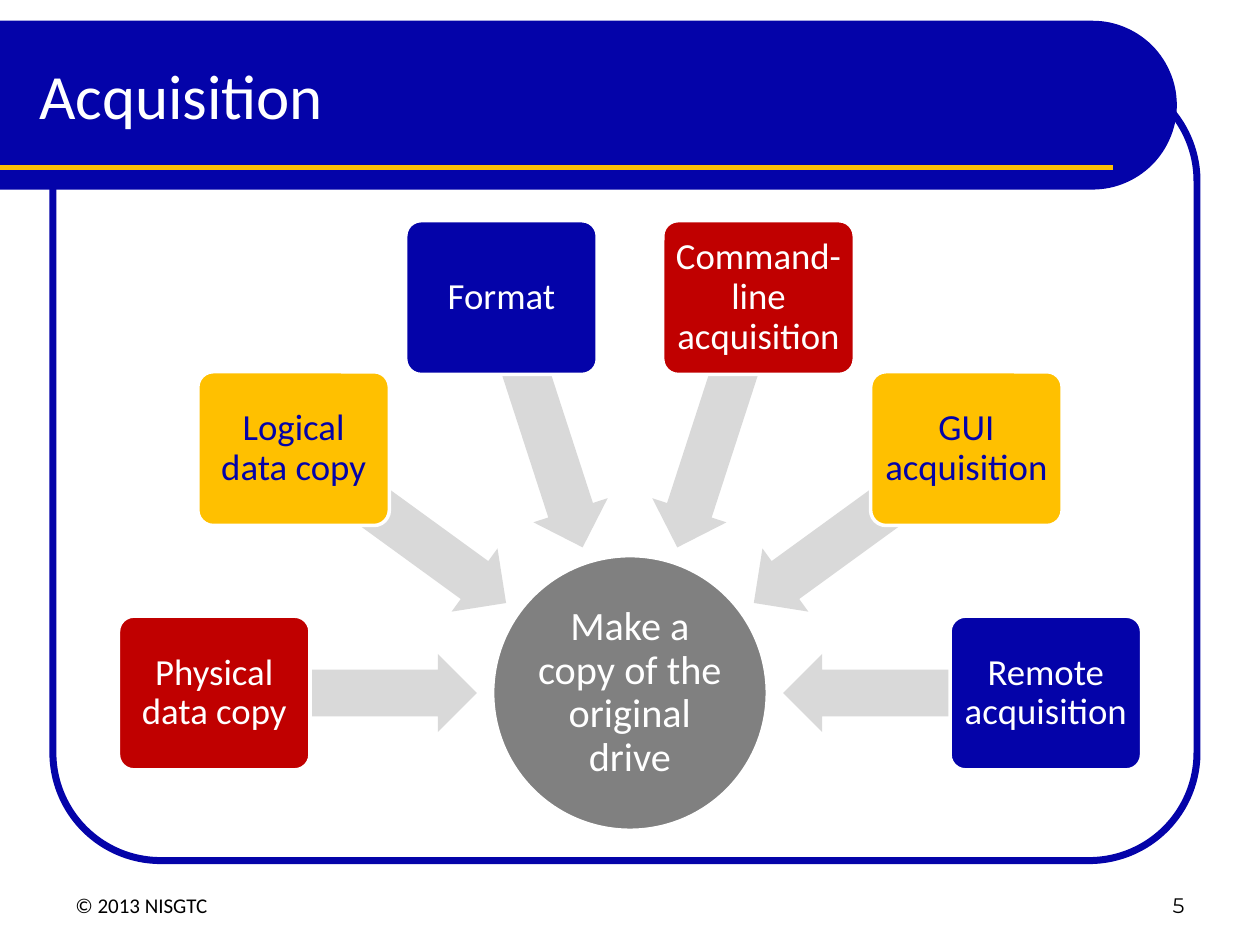
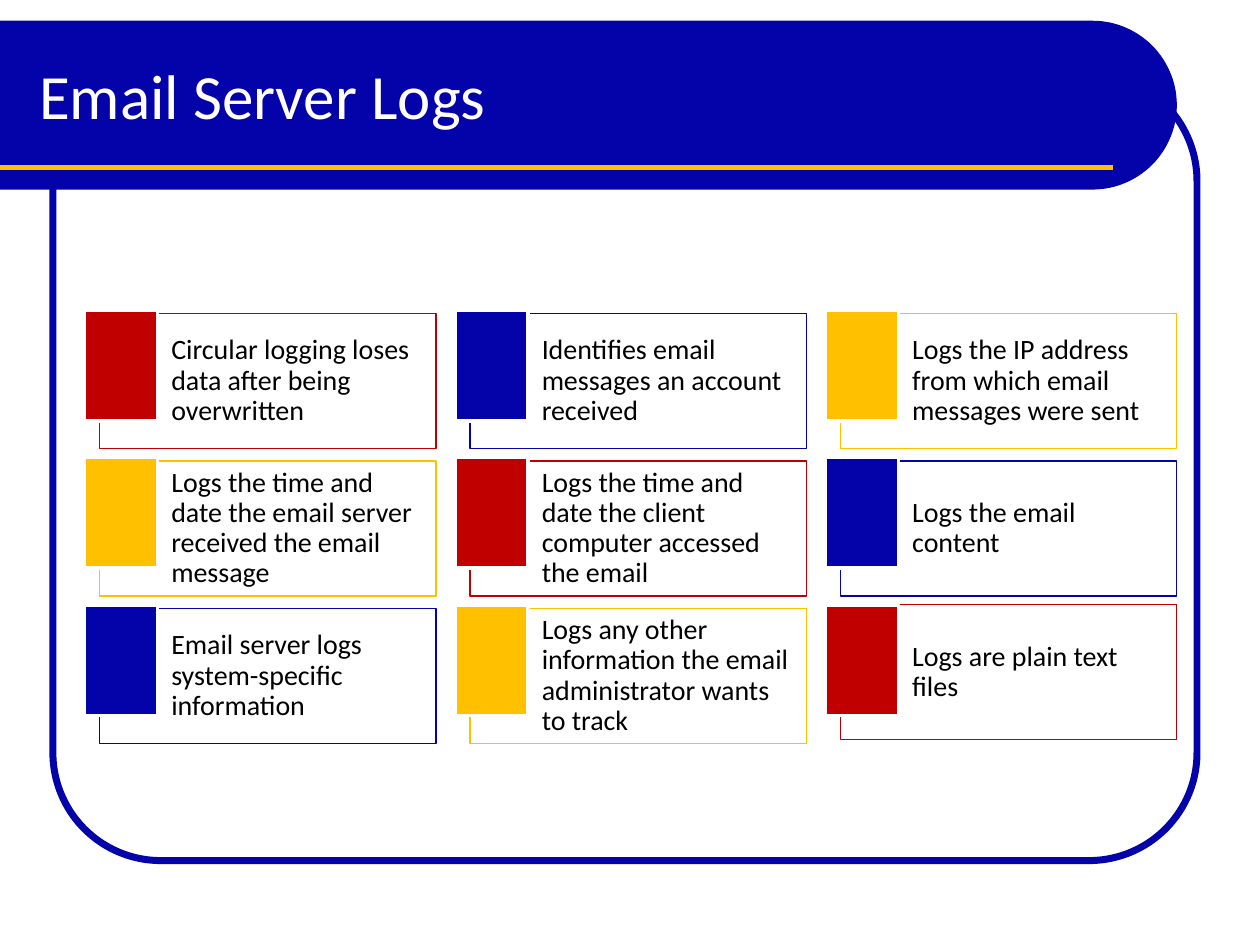
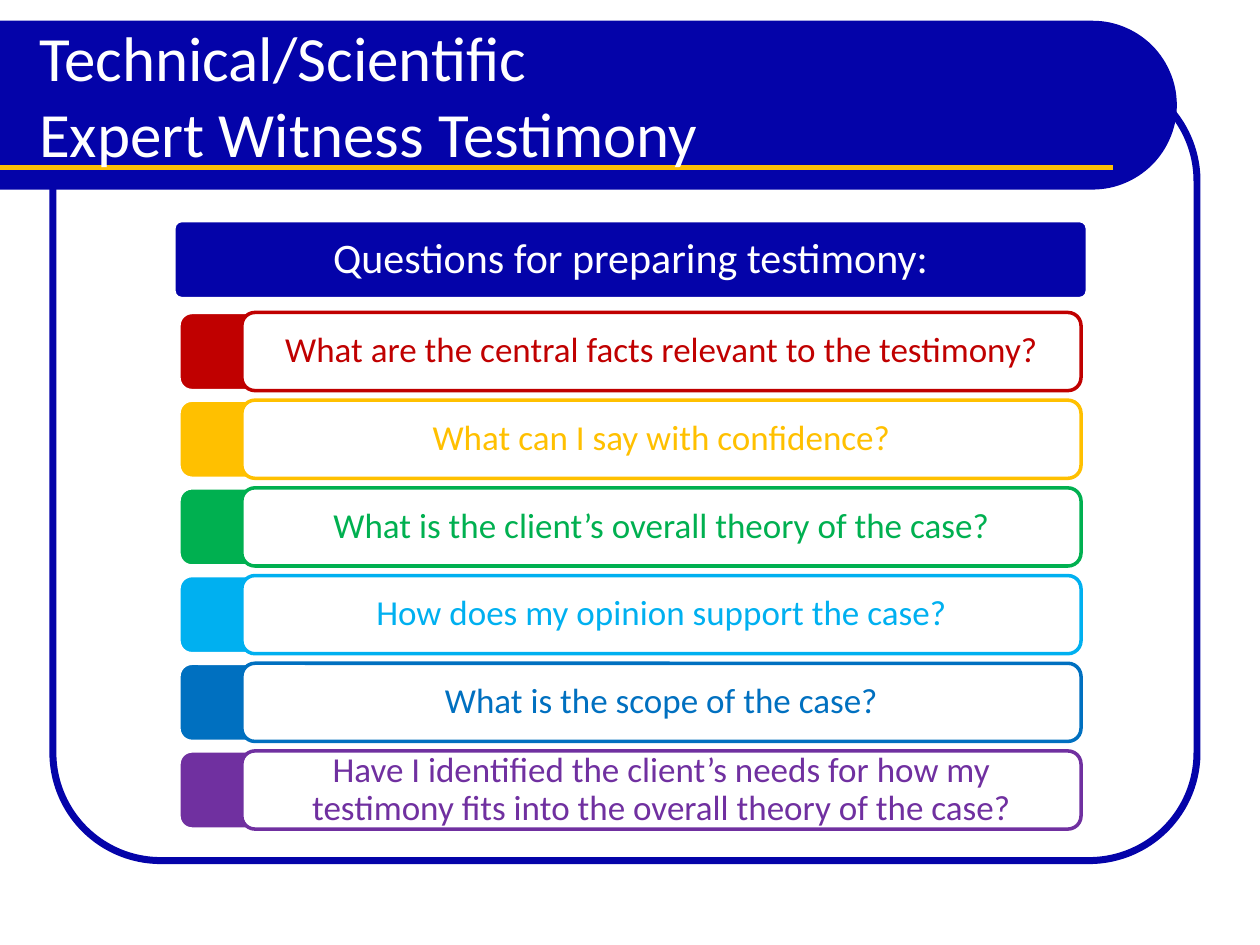
from dataclasses import dataclass
from itertools import chain
from math import cos, radians, sin
from typing import NamedTuple, Optional

from lxml.etree import SubElement
from pptx import Presentation
from pptx.dml.color import RGBColor
from pptx.enum.shapes import MSO_CONNECTOR, MSO_SHAPE
from pptx.enum.text import MSO_ANCHOR, MSO_AUTO_SIZE, PP_ALIGN
from pptx.oxml.ns import qn
from pptx.shapes.autoshape import Shape
from pptx.slide import Slide, SlideLayout
from pptx.text.text import TextFrame
from pptx.util import Inches, Pt


@dataclass(frozen=True)
class Theme:
    navy: RGBColor = RGBColor(0x04, 0x03, 0xA9)
    rule: RGBColor = RGBColor(0xFD, 0xC0, 0x05)
    red: RGBColor = RGBColor(0xC0, 0x00, 0x00)
    amber: RGBColor = RGBColor(0xFF, 0xC0, 0x00)
    green: RGBColor = RGBColor(0x00, 0xB0, 0x50)
    sky: RGBColor = RGBColor(0x00, 0xB0, 0xF0)
    blue: RGBColor = RGBColor(0x00, 0x70, 0xC0)
    purple: RGBColor = RGBColor(0x70, 0x30, 0xA0)
    gray: RGBColor = RGBColor(0x80, 0x80, 0x80)
    light_gray: RGBColor = RGBColor(0xD9, 0xD9, 0xD9)
    white: RGBColor = RGBColor(0xFF, 0xFF, 0xFF)
    black: RGBColor = RGBColor(0x00, 0x00, 0x00)
    font: str = "Calibri"
    number_font: str = "Montserrat"
    title_size: int = 36
    heading_size: int = 24
    hub_size: int = 23
    spoke_size: int = 21
    question_size: int = 20
    card_size: int = 16
    footer_size: int = 12
    outline: float = 2
    thin_outline: float = 0.75


THEME = Theme()


class Box(NamedTuple):
    left: float
    top: float
    width: float
    height: float

    def lengths(self) -> list[Inches]:
        return [Inches(value) for value in self]


class Margins(NamedTuple):
    left: float
    top: float
    right: float
    bottom: float


class TextStyle(NamedTuple):
    size: int
    color: RGBColor
    align: PP_ALIGN = PP_ALIGN.CENTER
    anchor: MSO_ANCHOR = MSO_ANCHOR.MIDDLE
    margins: Margins = Margins(0.1, 0.05, 0.1, 0.05)
    spacing: float = 0.9
    font: str = THEME.font


class Spoke(NamedTuple):
    text: str
    fill: RGBColor
    text_color: RGBColor = THEME.white


class Card(NamedTuple):
    text: str
    color: RGBColor
    lift: float = 0


class Question(NamedTuple):
    text: str
    color: RGBColor


SPOKES = [
    Spoke("Physical data copy", THEME.red),
    Spoke("Logical data copy", THEME.amber, THEME.navy),
    Spoke("Format", THEME.navy),
    Spoke("Command-line acquisition", THEME.red),
    Spoke("GUI acquisition", THEME.amber, THEME.navy),
    Spoke("Remote acquisition", THEME.navy),
]

CARDS = [
    Card("Circular logging loses data after being overwritten", THEME.red),
    Card("Identifies email messages an account received", THEME.navy),
    Card("Logs the IP address from which email messages were sent", THEME.amber),
    Card("Logs the time and date the email server received the email message", THEME.amber),
    Card("Logs the time and date the client computer accessed the email", THEME.red),
    Card("Logs the email content", THEME.navy),
    Card("Email server logs system-specific information", THEME.navy),
    Card("Logs any other information the email administrator wants to track", THEME.amber),
    Card("Logs are plain text files", THEME.red, lift=0.03),
]

QUESTIONS = [
    Question("What are the central facts relevant to the testimony?", THEME.red),
    Question("What can I say with confidence?", THEME.amber),
    Question("What is the client’s overall theory of the case?", THEME.green),
    Question("How does my opinion support the case?", THEME.sky),
    Question("What is the scope of the case?", THEME.blue),
    Question(
        "Have I identified the client’s needs for how my testimony "
        "fits into the overall theory of the case?",
        THEME.purple,
    ),
]


def write(text_frame: TextFrame, text: str, style: TextStyle) -> None:
    text_frame.text = text
    text_frame.word_wrap = True
    text_frame.auto_size = MSO_AUTO_SIZE.NONE
    text_frame.vertical_anchor = style.anchor
    margins = [Inches(value) for value in style.margins]
    (text_frame.margin_left, text_frame.margin_top,
     text_frame.margin_right, text_frame.margin_bottom) = margins
    for paragraph in text_frame.paragraphs:
        paragraph.alignment = style.align
        paragraph.line_spacing = style.spacing
        for run in paragraph.runs:
            run.font.name = style.font
            run.font.size = Pt(style.size)
            run.font.color.rgb = style.color


def paint(shape: Shape, fill: Optional[RGBColor], line: Optional[RGBColor],
          width: float = THEME.outline) -> None:
    shape.shadow.inherit = False
    if fill is None:
        shape.fill.background()
    else:
        shape.fill.solid()
        shape.fill.fore_color.rgb = fill
    if line is None:
        shape.line.fill.background()
    else:
        shape.line.color.rgb = line
        shape.line.width = Pt(width)


def add_block(slide: Slide, kind: MSO_SHAPE, box: Box, fill: Optional[RGBColor],
              line: Optional[RGBColor], width: float = THEME.outline,
              adjustments: tuple[float, ...] = ()) -> Shape:
    shape = slide.shapes.add_shape(kind, *box.lengths())
    for index, value in enumerate(adjustments):
        shape.adjustments[index] = value
    paint(shape, fill, line, width)
    return shape


def set_opacity(shape: Shape, percent: int) -> None:
    color = shape.element.spPr.find(qn("a:solidFill")).find(qn("a:srgbClr"))
    SubElement(color, qn("a:alpha")).set("val", str(percent * 1000))


def add_band(slide: Slide) -> Shape:
    """Draw the title band: square on the left, a half circle on the right."""
    top, bottom, center_x = 0.17, 1.5, 8.67
    radius = (bottom - top) / 2
    arc = [
        (center_x + radius * cos(radians(angle)), top + radius + radius * sin(radians(angle)))
        for angle in range(-90, 91, 3)
    ]
    points = [(Inches(x), Inches(y)) for x, y in chain(arc, [(0, bottom)])]
    builder = slide.shapes.build_freeform(0, Inches(top))
    builder.add_line_segments(points, close=True)
    band = builder.convert_to_shape()
    paint(band, THEME.navy, THEME.navy, THEME.thin_outline)
    return band


def move_frame_to_layout(slide: Slide, layout: SlideLayout) -> None:
    """Draw the shared frame, band and rule, then hand them to the layout."""
    frame = add_block(slide, MSO_SHAPE.ROUNDED_RECTANGLE, Box(0.42, 0.58, 9.08, 6.25),
                      None, THEME.navy, 4, (0.137,))
    band = add_band(slide)
    rule = slide.shapes.add_connector(
        MSO_CONNECTOR.STRAIGHT, 0, Inches(1.33), Inches(8.83), Inches(1.33))
    rule.line.color.rgb = THEME.rule
    rule.line.width = Pt(3)
    SubElement(rule.element.spPr, qn("a:effectLst"))
    for index, shape in enumerate((frame, band, rule), start=2):
        layout.shapes.element.insert(index, shape.element)


def prepare_layout(layout: SlideLayout) -> None:
    """Keep only the title placeholder, placed and sized for the band."""
    for placeholder in list(layout.placeholders):
        if placeholder.placeholder_format.idx != 0:
            layout.shapes.element.remove(placeholder.element)
            continue
        (placeholder.left, placeholder.top,
         placeholder.width, placeholder.height) = Box(0.21, 0.25, 8.77, 1).lengths()
    title_level = layout.slide_master.element.xpath("p:txStyles/p:titleStyle/a:lvl1pPr")[0]
    title_level.find(qn("a:defRPr")).set("sz", str(THEME.title_size * 100))


def add_titled_slide(presentation: Presentation, layout: SlideLayout, title: str) -> Slide:
    slide = presentation.slides.add_slide(layout)
    style = TextStyle(THEME.title_size, THEME.white, PP_ALIGN.LEFT, spacing=1.0)
    write(slide.shapes.title.text_frame, title, style)
    return slide


def add_footer(slide: Slide, notice: str, number: str) -> None:
    for text, left, align, font in (
        (notice, 0.5, PP_ALIGN.LEFT, THEME.font),
        (number, 7.17, PP_ALIGN.RIGHT, THEME.number_font),
    ):
        text_box = slide.shapes.add_textbox(*Box(left, 6.83, 2.33, 0.5).lengths())
        write(text_box.text_frame, text, TextStyle(
            THEME.footer_size, THEME.black, align, MSO_ANCHOR.BOTTOM, spacing=1.0, font=font))


def centered_box(x: float, y: float, width: float, height: float) -> Box:
    return Box(x - width / 2, y - height / 2, width, height)


def draw_acquisition(slide: Slide) -> None:
    center_x, center_y = 5, 5.5
    arrow_radius, spoke_radius = 2.26, 3.3
    step = 180 / (len(SPOKES) - 1)

    hub = add_block(slide, MSO_SHAPE.OVAL, centered_box(center_x, center_y, 2.18, 2.18),
                    THEME.gray, THEME.white)
    write(hub.text_frame, "Make a copy of the original drive",
          TextStyle(THEME.hub_size, THEME.white, margins=Margins(*[0.02] * 4)))

    for index, spoke in enumerate(SPOKES):
        angle = 180 + index * step
        across, down = cos(radians(angle)), sin(radians(angle))
        arrow = add_block(
            slide, MSO_SHAPE.LEFT_ARROW,
            centered_box(center_x + arrow_radius * across,
                         center_y + arrow_radius * down, 2.09, 0.62),
            THEME.light_gray, None, adjustments=(0.6, 0.5))
        arrow.rotation = angle % 360
        block = add_block(
            slide, MSO_SHAPE.ROUNDED_RECTANGLE,
            centered_box(center_x + spoke_radius * across,
                         center_y + spoke_radius * down, 1.52, 1.22),
            spoke.fill, THEME.white, adjustments=(0.1,))
        write(block.text_frame, spoke.text,
              TextStyle(THEME.spoke_size, spoke.text_color, margins=Margins(*[0.04] * 4)))


def draw_log_cards(slide: Slide) -> None:
    columns, column_pitch, row_pitch = 3, 2.94, 1.17
    style = TextStyle(THEME.card_size, THEME.black, PP_ALIGN.LEFT,
                      margins=Margins(0.57, 0.07, 0.07, 0.07))
    for index, card in enumerate(CARDS):
        row, column = divmod(index, columns)
        left = 0.67 + column * column_pitch
        top = 2.46 + row * row_pitch
        panel = add_block(slide, MSO_SHAPE.RECTANGLE,
                          Box(left + 0.12, top + 0.03 - card.lift, 2.67, 1.07),
                          THEME.white, card.color, THEME.thin_outline)
        set_opacity(panel, 40)
        write(panel.text_frame, card.text, style)
        add_block(slide, MSO_SHAPE.RECTANGLE, Box(left, top, 0.58, 0.88),
                  card.color, THEME.white)


def draw_questions(slide: Slide) -> None:
    heading = add_block(slide, MSO_SHAPE.ROUNDED_RECTANGLE, Box(1.38, 1.75, 7.25, 0.62),
                        THEME.navy, THEME.white, adjustments=(0.1,))
    write(heading.text_frame, "Questions for preparing testimony:",
          TextStyle(THEME.heading_size, THEME.white, margins=Margins(0.05, 0.03, 0.05, 0.03)))

    first_top, last_top, height = 2.48, 5.96, 0.62
    pitch = (last_top - first_top) / (len(QUESTIONS) - 1)
    for index, question in enumerate(QUESTIONS):
        top = first_top + index * pitch
        add_block(slide, MSO_SHAPE.ROUNDED_RECTANGLE, Box(1.42, top, 1.01, height),
                  question.color, THEME.white)
        panel = add_block(slide, MSO_SHAPE.ROUNDED_RECTANGLE, Box(1.92, top, 6.66, height),
                          THEME.white, question.color)
        write(panel.text_frame, question.text,
              TextStyle(THEME.question_size, question.color, margins=Margins(*[0.16] * 4)))


def main() -> None:
    presentation = Presentation()
    presentation.slide_width = Inches(10)
    presentation.slide_height = Inches(7.5)
    layout = presentation.slide_layouts.get_by_name("Title Only")
    prepare_layout(layout)

    acquisition = add_titled_slide(presentation, layout, "Acquisition")
    move_frame_to_layout(acquisition, layout)
    add_footer(acquisition, "© 2013 NISGTC", "5")
    draw_acquisition(acquisition)

    draw_log_cards(add_titled_slide(presentation, layout, "Email Server Logs"))
    draw_questions(add_titled_slide(
        presentation, layout, "Technical/Scientific \vExpert Witness Testimony"))

    presentation.save("out.pptx")


if __name__ == "__main__":
    main()
